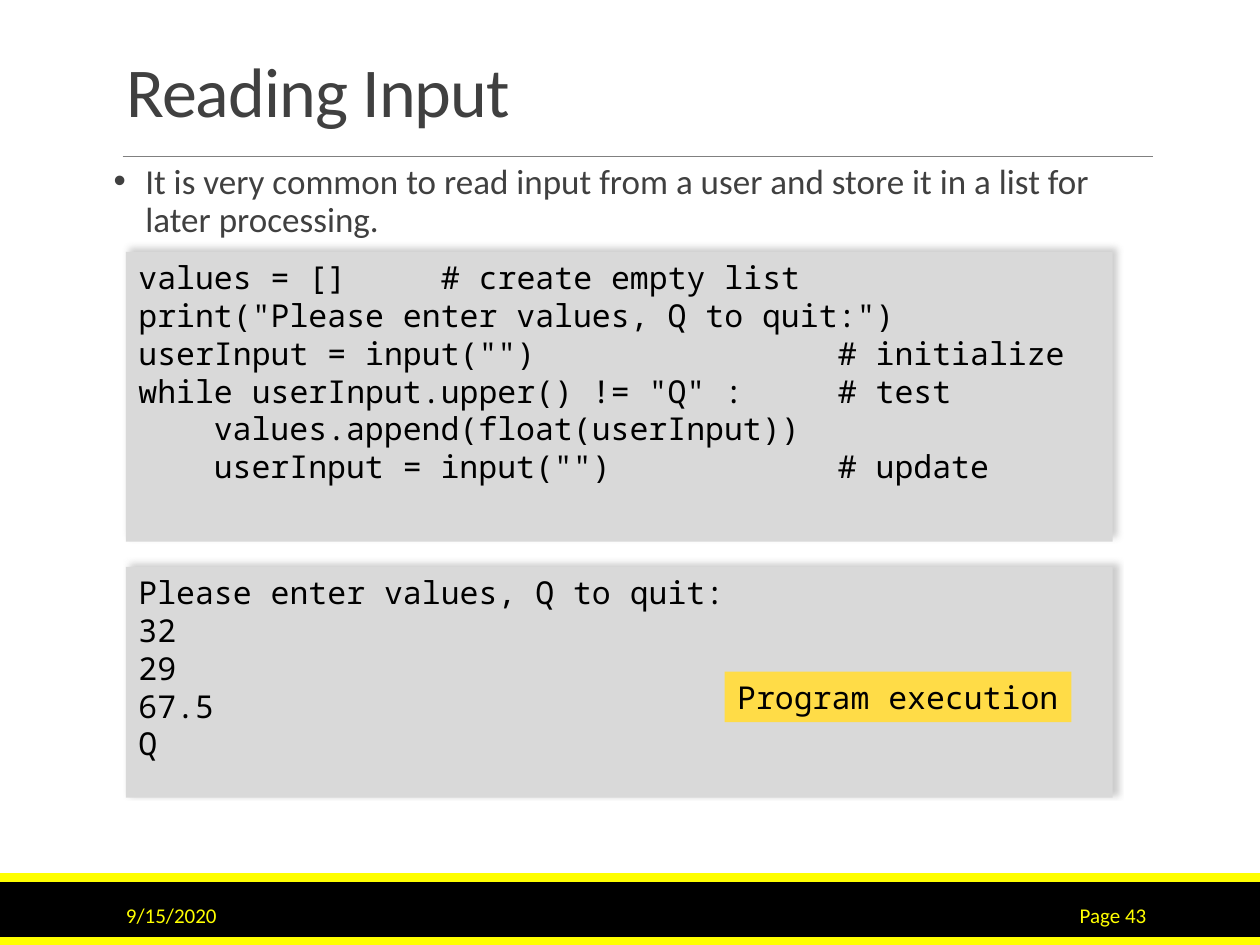
from dataclasses import dataclass

from lxml import etree
from pptx import Presentation
from pptx.dml.color import RGBColor
from pptx.enum.shapes import MSO_CONNECTOR, MSO_SHAPE
from pptx.enum.text import MSO_ANCHOR, MSO_AUTO_SIZE, PP_ALIGN
from pptx.oxml.ns import qn
from pptx.util import Cm, Pt

RECTANGLE = MSO_SHAPE.RECTANGLE
STRAIGHT = MSO_CONNECTOR.STRAIGHT
TOP, MIDDLE, BOTTOM = MSO_ANCHOR.TOP, MSO_ANCHOR.MIDDLE, MSO_ANCHOR.BOTTOM
LEFT, RIGHT = PP_ALIGN.LEFT, PP_ALIGN.RIGHT
NO_AUTOFIT, GROW = MSO_AUTO_SIZE.NONE, MSO_AUTO_SIZE.SHAPE_TO_FIT_TEXT

SLIDE_WIDTH, SLIDE_HEIGHT = 25.4, 19.05
PANEL_LEFT, PANEL_WIDTH = 2.54, 19.89
CONTENT_LEFT, CONTENT_WIDTH = 2.29, 20.96
CODE_TABS = (1.52, 6.1, 14.1)

PROGRAM = (
    "values = []\t# create empty list",
    'print("Please enter values, Q to quit:")',
    'userInput = input("")\t# initialize',
    'while userInput.upper() != "Q" :\t# test',
    "\tvalues.append(float(userInput))",
    '\tuserInput = input("")\t# update',
)
SESSION = ("Please enter values, Q to quit:", "32", "29", "67.5", "Q")


@dataclass(frozen=True)
class Theme:
    text_font: str = "Calibri"
    code_font: str = "Noto Sans Mono"
    title_size: int = 40
    body_size: int = 20
    code_size: int = 18
    footer_size: int = 12
    text: str = "404040"
    code: str = "000000"
    panel: str = "D9D9D9"
    label: str = "FFDC47"
    band: str = "000000"
    accent: str = "FFFF00"
    gray: str = "808080"


class SlideBuilder:
    def __init__(self, slide, theme):
        self.slide = slide
        self.theme = theme

    def place(self, shape, box):
        shape.left, shape.top, shape.width, shape.height = map(Cm, box)

    def style(self, paragraph, font_name, size, color):
        font = paragraph.font
        font.name = font_name
        font.size = Pt(size)
        font.color.rgb = RGBColor.from_string(color)

    def title(self, text, box):
        shape = self.slide.shapes.title
        self.place(shape, box)
        frame = shape.text_frame
        frame.text = text
        frame.vertical_anchor = BOTTOM
        frame.auto_size = NO_AUTOFIT
        paragraph = frame.paragraphs[0]
        paragraph.alignment = LEFT
        paragraph.line_spacing = 0.85
        self.style(paragraph, self.theme.text_font, self.theme.title_size, self.theme.text)
        paragraph.runs[0].font._element.set("spc", "-50")

    def bullets(self, items, box):
        shape = self.slide.placeholders[1]
        self.place(shape, box)
        frame = shape.text_frame
        frame.text = "\n".join(items)
        frame.auto_size = NO_AUTOFIT
        frame.margin_left = frame.margin_right = 0
        for paragraph in frame.paragraphs:
            paragraph.line_spacing = 0.9
            paragraph.space_before = Pt(12)
            paragraph.space_after = Pt(2)
            self.style(paragraph, self.theme.text_font, self.theme.body_size, self.theme.text)
            properties = paragraph._p.get_or_add_pPr()
            properties.set("marL", str(Cm(0.64)))
            properties.set("indent", str(Cm(-0.64)))
            bullet = etree.Element(qn("a:buChar"), char="•")
            properties.find(qn("a:spcAft")).addnext(bullet)

    def rectangle(self, box, color):
        shape = self.slide.shapes.add_shape(RECTANGLE, *map(Cm, box))
        shape.shadow.inherit = False
        shape.fill.solid()
        shape.fill.fore_color.rgb = RGBColor.from_string(color)
        shape.line.fill.background()
        return shape

    def code(self, lines, box, color):
        shape = self.rectangle(box, color)
        frame = shape.text_frame
        frame.text = "\n".join(lines)
        frame.vertical_anchor = TOP
        for paragraph in frame.paragraphs:
            paragraph.alignment = LEFT
            self.style(paragraph, self.theme.code_font, self.theme.code_size, self.theme.code)
            if "\t" in paragraph.text:
                self.tab_stops(paragraph)
        return shape

    def tab_stops(self, paragraph):
        tabs = etree.Element(qn("a:tabLst"))
        for position in CODE_TABS:
            etree.SubElement(tabs, qn("a:tab"), pos=str(Cm(position)), algn="l")
        paragraph._p.get_or_add_pPr().insert(0, tabs)

    def panel(self, lines, box):
        shape = self.code(lines, box, self.theme.panel)
        effects = shape._element.spPr.find(qn("a:effectLst"))
        shadow = etree.SubElement(
            effects, qn("a:outerShdw"), blurRad=str(Pt(4)), dist=str(Pt(3)),
            dir=str(315 * 60000), algn="bl", rotWithShape="0",
        )
        color = etree.SubElement(shadow, qn("a:srgbClr"), val=self.theme.gray)
        etree.SubElement(color, qn("a:alpha"), val="40000")

    def label(self, text, box):
        frame = self.code([text], box, self.theme.label).text_frame
        frame.word_wrap = False
        frame.auto_size = GROW

    def rule(self, left, right, top):
        line = self.slide.shapes.add_connector(STRAIGHT, Cm(left), Cm(top), Cm(right), Cm(top))
        line.line.color.rgb = RGBColor.from_string(self.theme.gray)
        line.line.width = Pt(0.5)
        etree.SubElement(line._element.spPr, qn("a:effectLst"))

    def footer(self, text, box, alignment):
        frame = self.slide.shapes.add_textbox(*map(Cm, box)).text_frame
        frame.text = text
        frame.word_wrap = True
        frame.vertical_anchor = MIDDLE
        paragraph = frame.paragraphs[0]
        paragraph.alignment = alignment
        self.style(paragraph, self.theme.text_font, self.theme.footer_size, self.theme.accent)


def main():
    presentation = Presentation()
    presentation.slide_width = Cm(SLIDE_WIDTH)
    presentation.slide_height = Cm(SLIDE_HEIGHT)
    slide = presentation.slides.add_slide(presentation.slide_layouts[1])
    theme = Theme()
    builder = SlideBuilder(slide, theme)

    builder.rectangle((0, 17.78, SLIDE_WIDTH, 1.27), theme.band)
    for top in (17.6, 18.89):
        builder.rectangle((0, top, SLIDE_WIDTH, 0.18), theme.accent)
    builder.rule(2.47, 23.24, 3.15)

    builder.title("Reading Input", (CONTENT_LEFT, 0.79, CONTENT_WIDTH, 2))
    builder.bullets(
        ["It is very common to read input from a user and store it in a list for later processing."],
        (CONTENT_LEFT, 3.18, CONTENT_WIDTH, 13.13),
    )
    builder.footer("9/15/2020", (CONTENT_LEFT, 17.93, 5.16, 1.02), LEFT)
    builder.footer("Page 43", (20.62, 17.93, 2.74, 1.02), RIGHT)

    builder.panel(PROGRAM, (PANEL_LEFT, 5.08, PANEL_WIDTH, 5.84))
    builder.panel(SESSION, (PANEL_LEFT, 11.43, PANEL_WIDTH, 4.65))
    builder.label("Program execution", (14.61, 13.54, 6.99, 1.02))

    presentation.save("out.pptx")


if __name__ == "__main__":
    main()
